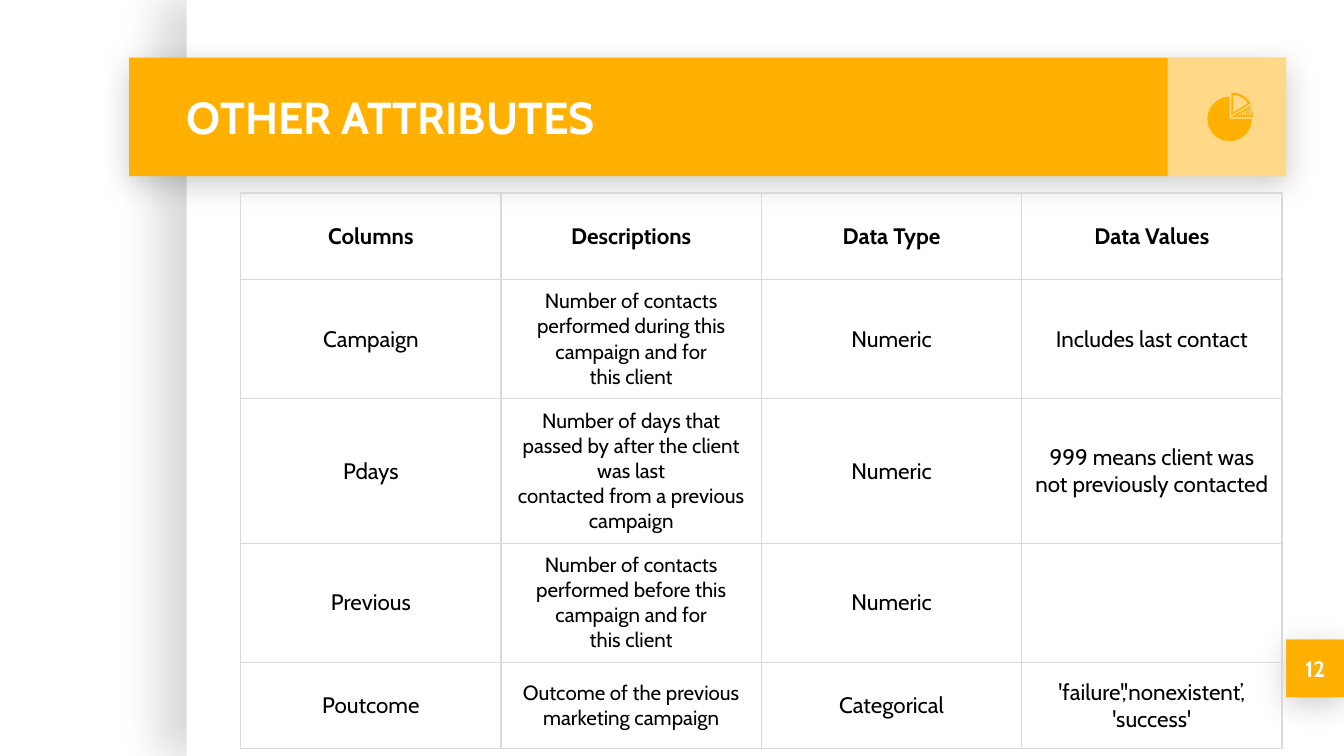
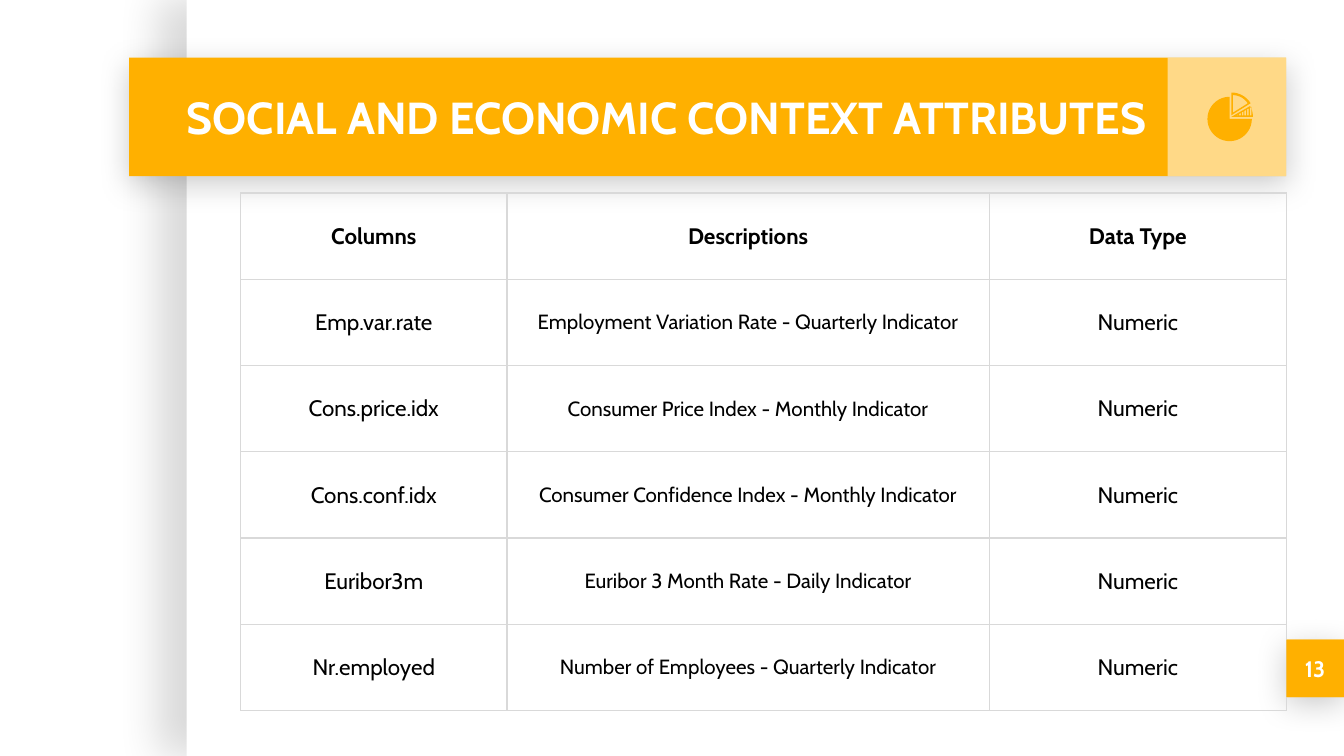
from math import cos, radians, sin, tan

from lxml.etree import SubElement
from pptx import Presentation
from pptx.dml.color import RGBColor
from pptx.enum.shapes import MSO_SHAPE as Preset
from pptx.enum.text import MSO_ANCHOR as Anchor, MSO_AUTO_SIZE as AutoSize, PP_ALIGN as Align
from pptx.oxml.ns import qn
from pptx.util import Cm, Pt

AMBER = RGBColor(0xFF, 0xB0, 0x00)
WHITE = RGBColor(0xFF, 0xFF, 0xFF)
BLACK = RGBColor(0x00, 0x00, 0x00)
GRID_GREY = RGBColor(0xD9, 0xD9, 0xD9)
FONT = "Cabin"
INSET = Cm(0.25)

# Content: title, page number, column widths in cm, rows
PAGES = [
    ("OTHER ATTRIBUTES", "12", [4.92] * 4, [
        ("Columns", "Descriptions", "Data Type", "Data Values"),
        ("Campaign", "Number of contacts performed during this campaign and for\nthis client",
         "Numeric", "Includes last contact"),
        ("Pdays", "Number of days that passed by after the client was last\n"
         "contacted from a previous campaign",
         "Numeric", "999 means client was not previously contacted"),
        ("Previous", "Number of contacts performed before this campaign and for\nthis client",
         "Numeric", ""),
        ("Poutcome", "Outcome of the previous marketing campaign",
         "Categorical", "'failure','nonexistent’,\n'success'"),
    ]),
    ("SOCIAL AND ECONOMIC CONTEXT ATTRIBUTES", "13", [5.03, 9.12, 5.61], [
        ("Columns", "Descriptions", "Data Type"),
        ("Emp.var.rate", "Employment Variation Rate - Quarterly Indicator", "Numeric"),
        ("Cons.price.idx", "Consumer Price Index - Monthly Indicator", "Numeric"),
        ("Cons.conf.idx", "Consumer Confidence Index - Monthly Indicator", "Numeric"),
        ("Euribor3m", "Euribor 3 Month Rate - Daily Indicator", "Numeric"),
        ("Nr.employed", "Number of Employees - Quarterly Indicator", "Numeric"),
    ]),
]


def paint(shape, color):
    shape.fill.solid()
    shape.fill.fore_color.rgb = color
    shape.line.fill.background()
    shape.shadow.inherit = False


def write(paragraph, text, size, color, bold, align):
    paragraph.alignment = align
    run = paragraph.add_run()
    run.text = text
    run.font.name = FONT
    run.font.size = Pt(size)
    run.font.bold = bold
    run.font.color.rgb = color


prs = Presentation()
prs.slide_width, prs.slide_height = Cm(25.4), Cm(14.29)
layout = prs.slide_layouts[5]
for placeholder in list(layout.placeholders):
    if placeholder.placeholder_format.idx >= 10:
        layout.shapes.element.remove(placeholder.element)
slides = [prs.slides.add_slide(layout) for _ in PAGES]

# Shared backdrop: page panel, number tab, title band, icon tile
# Shadow: opacity %, blur pt, distance pt, direction in degrees
TAB = Cm(24.31), Cm(12.09), Cm(1.09), Cm(1.09)
band_shadow = (20, 16.9, 3.8, 90)
backdrop = [
    ((Cm(3.53), 0, Cm(21.87), prs.slide_height), WHITE, None, (15, 22.5, 15, 180)),
    (TAB, AMBER, None, band_shadow),
    ((Cm(2.44), Cm(1.09), Cm(21.87), Cm(2.24)), AMBER, None, band_shadow),
    ((Cm(22.07), Cm(1.09), Cm(2.24), Cm(2.24)), WHITE, 53, None),
]
blocks = []
for box, color, opacity, shadow in backdrop:
    block = slides[0].shapes.add_shape(Preset.RECTANGLE, *box)
    paint(block, color)
    properties = block.element.spPr
    if opacity:
        tint = properties.find(qn("a:solidFill")).find(qn("a:srgbClr"))
        SubElement(tint, qn("a:alpha"), val=str(opacity * 1000))
    if shadow:
        strength, blur, distance, angle = shadow
        outer = SubElement(properties.find(qn("a:effectLst")), qn("a:outerShdw"),
                           blurRad=str(Pt(blur)), dist=str(Pt(distance)),
                           dir=str(angle * 60000), algn="bl", rotWithShape="0")
        shade = SubElement(outer, qn("a:srgbClr"), val=str(BLACK))
        SubElement(shade, qn("a:alpha"), val=str(strength * 1000))
    blocks.append(block.element)
layout.shapes.element.extend(blocks)

# Pie icon outlines in cm: sectors as centre, radius, start and end angle
sectors = []
for x, y, radius, start, end in [
    (23.24, 2.25, 0.42, 0, 270),
    (23.27, 2.21, 0.41, -30, 0),
    (23.27, 2.18, 0.43, -90, -32),
    (23.3, 2.13, 0.33, -90, -32),
]:
    angles = [radians(start + (end - start) * step / 30) for step in range(31)]
    sectors.append([(x, y)] + [(x + radius * cos(a), y + radius * sin(a)) for a in angles])
pie, bar_slice, top_slice, top_hole = sectors
bars = []
for number in range(6):
    left = 23.37 + 0.05 * number
    right = left + 0.03
    tops = [2.24 - (x - 23.27) * tan(radians(30)) for x in (left, right)]
    bars.append([(left, tops[0]), (right, tops[1]), (right, 2.18), (left, 2.18)])
icon_parts = [[pie], [bar_slice, *bars], [top_slice, top_hole]]

for slide, (heading, page_number, widths, rows) in zip(slides, PAGES):
    # Title
    title = slide.shapes.title
    title.left, title.top, title.width, title.height = Cm(3.28), Cm(1.09), Cm(18.72), Cm(2.24)
    frame = title.text_frame
    frame.auto_size = AutoSize.NONE
    frame.word_wrap = True
    frame.vertical_anchor = Anchor.MIDDLE
    frame.margin_left = frame.margin_right = frame.margin_top = frame.margin_bottom = INSET
    write(frame.paragraphs[0], heading, 24, WHITE, True, Align.LEFT)

    # Attribute table
    row_height = Cm(1.63)
    attributes = slide.shapes.add_table(len(rows), len(widths), Cm(4.55), Cm(3.65),
                                        Cm(sum(widths)), row_height * len(rows)).table
    attributes.first_row = attributes.horz_banding = False
    for column, width in zip(attributes.columns, widths):
        column.width = Cm(width)
    for r, row in enumerate(rows):
        attributes.rows[r].height = row_height
        for c, text in enumerate(row):
            cell = attributes.cell(r, c)
            cell.vertical_anchor = Anchor.MIDDLE
            cell.margin_left = cell.margin_right = INSET
            cell.margin_top = cell.margin_bottom = Cm(0.18)
            for side in ("a:lnL", "a:lnR", "a:lnT", "a:lnB"):
                edge = SubElement(cell._tc.get_or_add_tcPr(), qn(side), w=str(Pt(0.75)))
                SubElement(SubElement(edge, qn("a:solidFill")), qn("a:srgbClr"),
                           val=str(GRID_GREY))
            cell.fill.background()
            size = 11 if r > 0 and c == 1 else 12
            for i, line in enumerate(text.split("\n") if text else []):
                paragraphs = cell.text_frame.paragraphs
                paragraph = cell.text_frame.add_paragraph() if i else paragraphs[0]
                write(paragraph, line, size, BLACK, r == 0, Align.CENTER)

    # Page number
    tab = slide.shapes.add_shape(Preset.RECTANGLE, *TAB)
    paint(tab, AMBER)
    frame = tab.text_frame
    frame.vertical_anchor = Anchor.MIDDLE
    frame.margin_left = frame.margin_right = frame.margin_top = frame.margin_bottom = INSET
    frame.word_wrap = False
    write(frame.paragraphs[0], page_number, 12, WHITE, True, Align.CENTER)

    # Pie icon
    icon = slide.shapes.add_group_shape()
    for contours in icon_parts:
        outlines = [[(Cm(x), Cm(y)) for x, y in contour] for contour in contours]
        builder = icon.shapes.build_freeform(*outlines[0][0])
        builder.add_line_segments(outlines[0][1:], close=True)
        for hole in outlines[1:]:
            builder.move_to(*hole[0])
            builder.add_line_segments(hole[1:], close=True)
        paint(builder.convert_to_shape(), AMBER)

prs.save("out.pptx")
